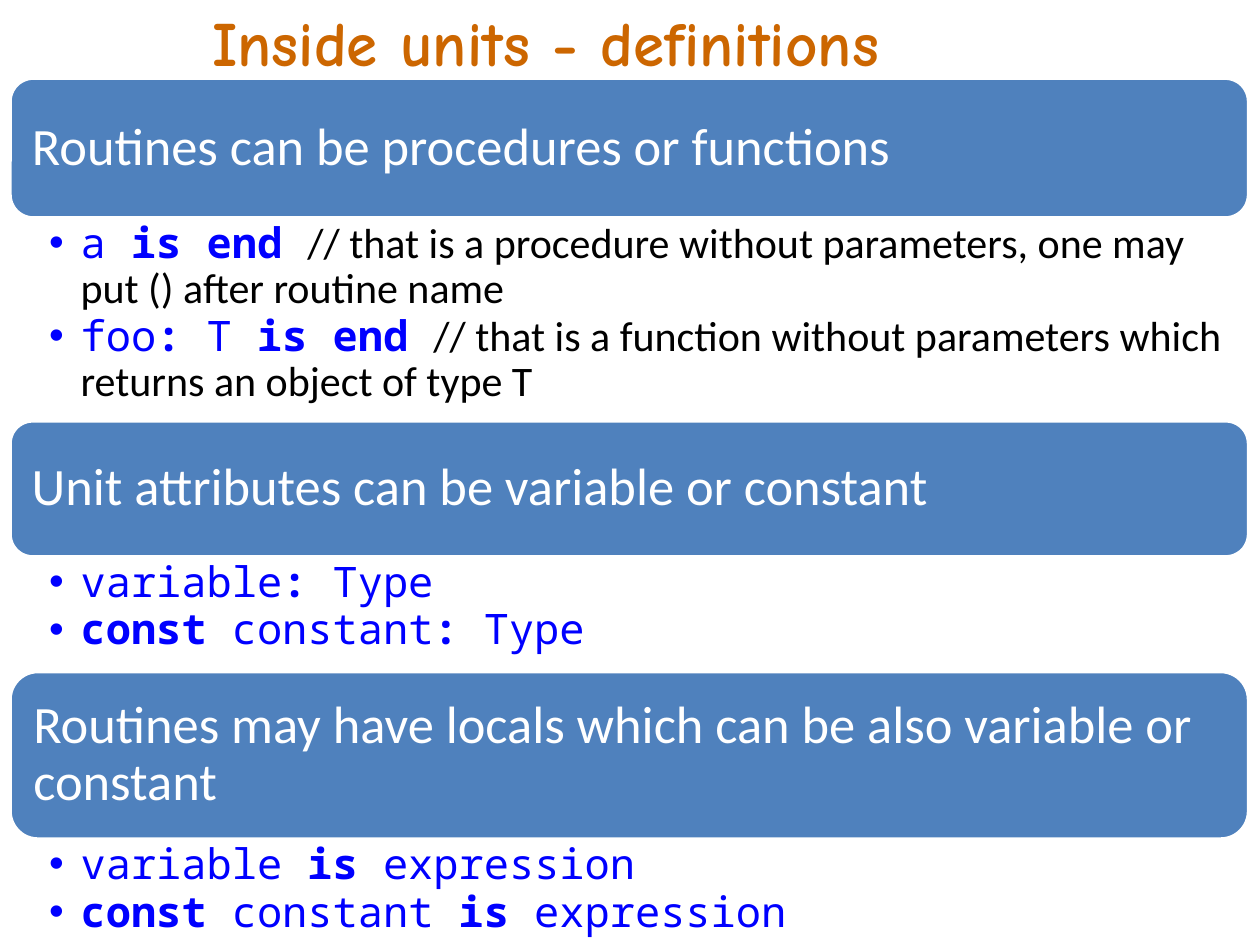
from pptx import Presentation
from pptx.dml.color import RGBColor
from pptx.enum.shapes import MSO_SHAPE
from pptx.enum.text import MSO_ANCHOR, MSO_AUTO_SIZE, PP_ALIGN
from pptx.oxml.xmlchemy import OxmlElement
from pptx.util import Inches, Pt


def color(value):
    return RGBColor.from_string(value)


def add_text(para, text, font="Calibri", size=24, fill="000000", bold=False):
    span = para.add_run()
    span.text = text
    span.font.name = font
    span.font.size = Pt(size)
    span.font.bold = bold
    span.font.color.rgb = color(fill)


class SlideWriter:
    left, width = 0.08, 9.83
    white, band_fill, title_fill = "FFFFFF", "4F81BD", "CC6600"
    styles = {
        "code": dict(font="Noto Sans Mono", fill="0000FF"),
        "key": dict(font="Noto Sans Mono", fill="0000FF", bold=True),
        "note": dict(),
    }

    def __init__(self, page):
        self.page = page

    def place(self, box, left, top, width, height):
        box.left, box.top = Inches(left), Inches(top)
        box.width, box.height = Inches(width), Inches(height)

    def frame(self, box, anchor, left, top, right, bottom):
        frame = box.text_frame
        frame.word_wrap = True
        frame.auto_size = MSO_AUTO_SIZE.NONE
        frame.vertical_anchor = anchor
        frame.margin_left, frame.margin_top = Inches(left), Inches(top)
        frame.margin_right, frame.margin_bottom = Inches(right), Inches(bottom)
        return frame

    def title(self, text):
        box = self.page.shapes.title
        self.place(box, 0.5, -0.02, 7.66, 0.7)
        frame = self.frame(box, MSO_ANCHOR.TOP, 0.1, 0.05, 0.1, 0.05)
        para = frame.paragraphs[0]
        para.alignment = PP_ALIGN.CENTER
        add_text(para, text, font="Comic Neue", size=36, fill=self.title_fill, bold=True)

    def band(self, text, top, height):
        box = self.page.shapes.add_shape(
            MSO_SHAPE.ROUNDED_RECTANGLE,
            Inches(self.left), Inches(top), Inches(self.width), Inches(height))
        box.shadow.inherit = False
        box.fill.solid()
        box.fill.fore_color.rgb = color(self.band_fill)
        box.line.color.rgb = color(self.white)
        box.line.width = Pt(2)
        para = self.frame(box, MSO_ANCHOR.MIDDLE, 0.12, 0.12, 0.12, 0.12).paragraphs[0]
        para.alignment = PP_ALIGN.LEFT
        para.line_spacing = 0.9
        add_text(para, text, size=30, fill=self.white)

    def bullets(self, box, items, top, height):
        self.place(box, self.left, top, self.width, height)
        frame = self.frame(box, MSO_ANCHOR.TOP, 0.31, 0.03, 0.19, 0.03)
        for index, item in enumerate(items):
            para = frame.add_paragraph() if index else frame.paragraphs[0]
            para.level = 1
            para.alignment = PP_ALIGN.LEFT
            para.line_spacing = 0.9
            para.space_before, para.space_after = Pt(0), Pt(1.5)
            properties = para._p.get_or_add_pPr()
            properties.set("marL", str(Inches(0.25)))
            properties.set("indent", str(Inches(-0.25)))
            for tag, name, value in (("a:buFont", "typeface", "Arial"),
                                     ("a:buChar", "char", "•")):
                bullet = OxmlElement(tag)
                bullet.set(name, value)
                properties.append(bullet)
            for style, text in item:
                add_text(para, text, **self.styles[style])


sections = [
    ("Routines can be procedures or functions", 0.62, 1.11, 1.61, [
        [("code", "a "), ("key", "is end "),
         ("note", "// that is a procedure without parameters, one may put () after routine name")],
        [("code", "foo"), ("key", ": "), ("code", "T "), ("key", "is end "),
         ("note", "// that is a function without parameters which returns an object of type T")],
    ]),
    ("Unit attributes can be variable or constant", 3.34, 1.08, 0.91, [
        [("code", "variable"), ("key", ":"), ("code", " Type")],
        [("key", "const"), ("code", " constant"), ("key", ":"), ("code", " Type")],
    ]),
    ("Routines may have locals which can be also variable or constant", 5.33, 1.33, 0.91, [
        [("code", "variable "), ("key", "is"), ("code", " expression")],
        [("key", "const"), ("code", " constant "), ("key", "is"), ("code", " expression")],
    ]),
]

deck = Presentation()
deck.slide_width, deck.slide_height = Inches(10), Inches(7.5)
page = deck.slides.add_slide(deck.slide_layouts.get_by_name("Comparison"))
writer = SlideWriter(page)
writer.title("Inside units - definitions")
title_box, *bodies, spare = page.placeholders
spare.element.getparent().remove(spare.element)
for body, (heading, top, band_height, list_height, items) in zip(bodies, sections):
    writer.band(heading, top, band_height)
    writer.bullets(body, items, top + band_height, list_height)
deck.save("out.pptx")
